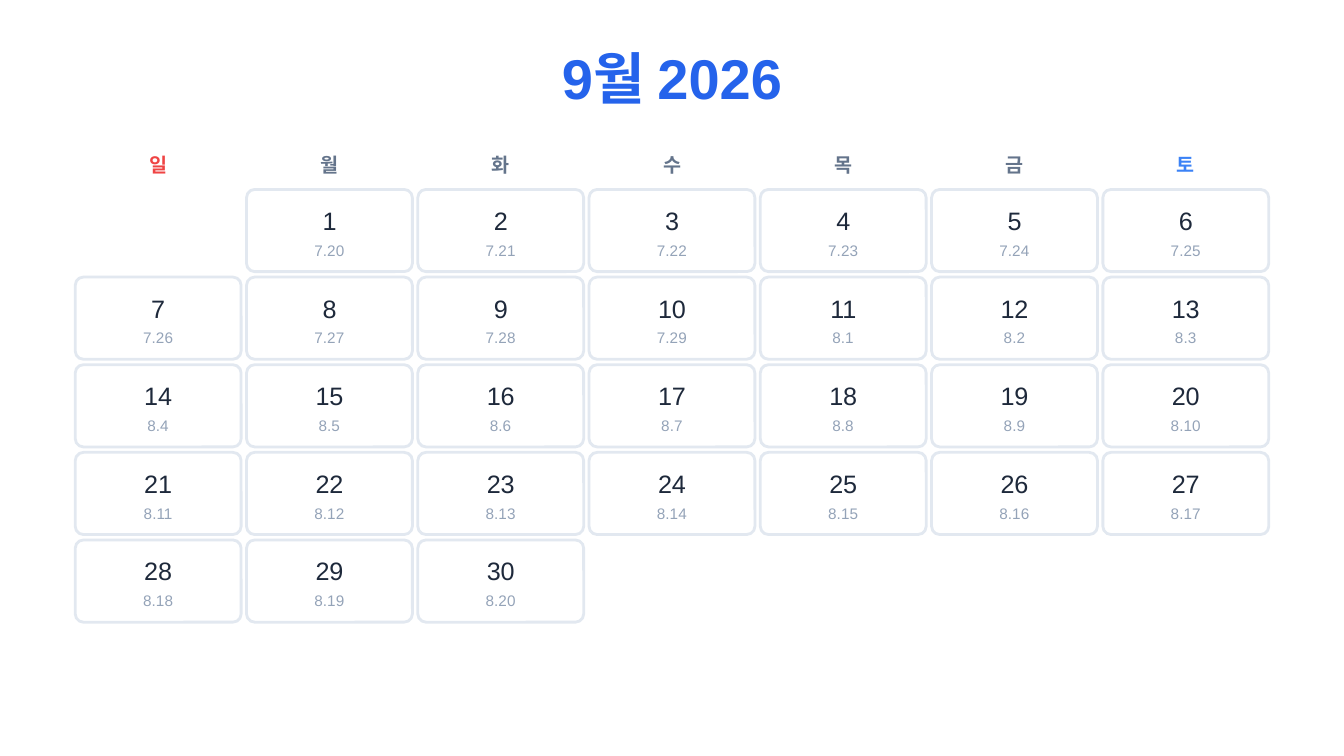
from pptx import Presentation
from pptx import util as u
from pptx.dml import color as c
from pptx.enum import shapes, text

HEX = {"blue": "2563EB", "sun": "EF4444", "week": "64748B", "sat": "3B82F6",
       "ink": "1E293B", "moon": "94A3B8", "edge": "E2E8F0", "white": "FFFFFF"}
STYLE = {
    "title": dict(size=30, lead=33.3, after=13.5, bold=True, pad=0),
    "head": dict(size=10.5, lead=14.7, after=0, bold=True, pad=0.05),
    "day": dict(size=13.5, lead=18.9, after=1.5, bold=False, pad=0),
    "moon": dict(size=8.25, lead=11.55, after=0, bold=False, pad=0),
}
NAMES = "일월화수목금토"
FIRST = 1   # column of day 1
DAYS = 30
WEEKS = 5
GAP = 0.04


def rgb(key):
    return c.RGBColor.from_string(HEX[key])


def put(obj, vals):
    for name, val in vals.items():
        setattr(obj, name, val)


def write(shape, words, style, hue, wrap=True):
    """Fill a text shape with one centred, formatted paragraph."""
    fmt = STYLE[style]
    frame = shape.text_frame
    frame.text = words
    sides = ("left", "top", "right", "bottom")
    put(frame, {f"margin_{s}": u.Inches(fmt["pad"]) for s in sides})
    put(frame, dict(word_wrap=wrap, auto_size=text.MSO_AUTO_SIZE.NONE,
                    vertical_anchor=text.MSO_ANCHOR.TOP))
    para = frame.paragraphs[0]
    put(para, dict(alignment=text.PP_ALIGN.CENTER, space_before=u.Pt(0),
                   space_after=u.Pt(fmt["after"]),
                   line_spacing=u.Pt(fmt["lead"])))
    font = para.runs[0].font
    put(font, dict(name="Arial", size=u.Pt(fmt["size"]), bold=fmt["bold"]))
    font.color.rgb = rgb(hue)


def label(slide, mid, top, wide, high, *args, **opts):
    """Add a text box centred on the given x."""
    box = slide.shapes.add_textbox(*map(u.Inches, (mid - wide / 2, top, wide, high)))
    write(box, *args, **opts)


def title(slide, left, top, wide, high):
    head = slide.shapes.title
    put(head, dict(left=u.Inches(left), top=u.Inches(top),
                   width=u.Inches(wide), height=u.Inches(high)))
    write(head, "9월 2026", "title", "blue")


def header(slide, left, top, wide, high):
    step = wide / 7
    hues = ["sun"] + ["week"] * 5 + ["sat"]
    for col, (name, hue) in enumerate(zip(NAMES, hues)):
        label(slide, left + step * (col + 0.5), top, step - 0.01, high,
              name, "head", hue)


def card(slide, left, top, wide, high, day, moon):
    box = slide.shapes.add_shape(shapes.MSO_SHAPE.ROUNDED_RECTANGLE,
                                 *map(u.Inches, (left, top, wide, high)))
    box.adjustments[0] = 0.1
    box.shadow.inherit = False
    box.fill.solid()
    box.fill.fore_color.rgb = rgb("white")
    box.line.color.rgb = rgb("edge")
    box.line.width = u.Pt(1.5)
    mid = left + wide / 2
    label(slide, mid, top + 0.08, 0.1 * len(day) + 0.01, 0.26,
          day, "day", "ink", wrap=False)
    label(slide, mid, top + 0.36, 0.07 * len(moon) - 0.05, 0.16,
          moon, "moon", "moon", wrap=False)


def lunar(day):
    """Lunar date of a day in the month; lunar month 8 starts on day 11."""
    return f"7.{day + 19}" if day < 11 else f"8.{day - 10}"


def month(slide, left, top, wide, high):
    across, down = (wide + GAP) / 7, (high + GAP) / WEEKS
    for day in range(1, DAYS + 1):
        row, col = divmod(day - 1 + FIRST, 7)
        card(slide, left + across * col, top + down * row,
             across - GAP, down - GAP, str(day), lunar(day))


def main():
    deck = Presentation()
    deck.slide_width = u.Inches(10)
    deck.slide_height = deck.slide_width * 9 // 16
    slide = deck.slides.add_slide(deck.slide_layouts[5])
    slide.background.fill.solid()
    slide.background.fill.fore_color.rgb = rgb("white")
    title(slide, 2.71, 0.36, 4.58, 0.46)
    header(slide, 0.54, 1.06, 8.92, 0.31)
    month(slide, 0.56, 1.41, 8.88, 3.22)
    deck.save("out.pptx")


if __name__ == "__main__":
    main()
